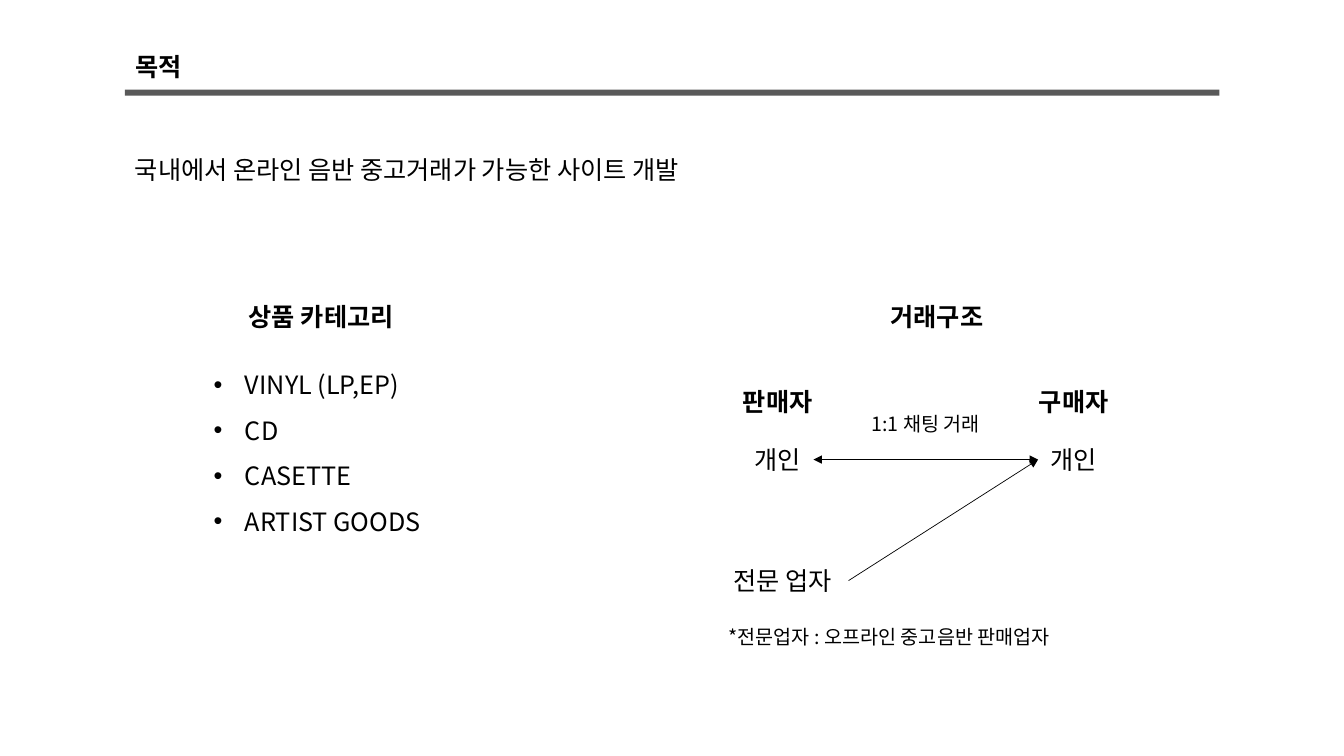
"""Build the purpose slide for a second-hand record trading site."""
from lxml.etree import SubElement
from pptx import Presentation
from pptx.dml.color import RGBColor
from pptx.enum.shapes import MSO_CONNECTOR as Conn, MSO_SHAPE as Form
from pptx.enum.text import MSO_ANCHOR as Anchor, MSO_AUTO_SIZE as Fit, PP_ALIGN as Align
from pptx.oxml.ns import qn
from pptx.util import Cm, Pt

FACE = "Noto Sans CJK KR"
INK, RULE = "000000", "595959"
EDGE = 3.15
SELL, BUY = 19.6, 27.06
MID = (SELL + BUY) / 2
TITLE = "목적"
GOODS = ["VINYL (LP,EP)", "CD", "CASETTE", "ARTIST GOODS"]
LEFT = [
    ("국내에서 온라인 음반 중고거래가 가능한 사이트 개발", EDGE, 3.76, 15.98, {}),
    ("상품 카테고리", 6.02, 7.47, 4.6, {"bold": True}),
    ("*전문업자 : 오프라인 중고음반 판매업자", 18.11, 15.62, 9.5, {"size": 14}),
]
TRADE = {
    "head": ("거래구조", 23.61, 7.47, 3.12, {"bold": True}),
    "sell": ("판매자", SELL, 9.6, 2.46, {"bold": True}),
    "buy": ("구매자", BUY, 9.6, 2.46, {"bold": True}),
    "from": ("개인", SELL, 11.07, 1.8, {}),
    "to": ("개인", BUY, 11.07, 1.8, {}),
    "shop": ("전문 업자", 19.72, 14.12, 3.33, {}),
    "chat": ("1:1 채팅 거래", MID, 10.26, 3.53, {"size": 14}),
}
LINKS = [("from", "to", True), ("shop", "to", False)]


def tint(code):
    return RGBColor.from_string(code)


def put(text, x, y, wide, high=1.02, shape=None, size=18, bold=False,
        align=Align.LEFT, space=1.0, dot=None):
    if shape is None:
        shape = slide.shapes.add_textbox(0, 0, 0, 0)
    shape.left, shape.top, shape.width, shape.height = map(Cm, (x, y, wide, high))
    frame = shape.text_frame
    frame.word_wrap, frame.auto_size = True, Fit.NONE
    frame.vertical_anchor = Anchor.TOP
    frame.text = text
    for para in frame.paragraphs:
        if dot:
            props = para._p.get_or_add_pPr()
            props.set("marL", str(Cm(0.79)))
            props.set("indent", str(-Cm(0.79)))
            SubElement(props, qn("a:buFont"), typeface="Arial")
            SubElement(props, qn("a:buChar"), char=dot)
        para.alignment, para.line_spacing = align, space
        para.space_before = Pt(0)
        for run in para.runs:
            font = run.font
            font.size, font.bold, font.name = Pt(size), bold, FACE
            font.color.rgb = tint(INK)
            SubElement(run._r.get_or_add_rPr(), qn("a:ea"), typeface=FACE)
    return shape


def link(start, end, both):
    line = slide.shapes.add_connector(Conn.STRAIGHT, 0, 0, 0, 0)
    line.begin_connect(start, 3)
    line.end_connect(end, 1)
    line.line.width = Pt(0.5)
    line.line.color.rgb = tint(INK)
    stroke = line.line._get_or_add_ln()
    for tip in ("headEnd", "tailEnd") if both else ("tailEnd",):
        SubElement(stroke, qn("a:" + tip), type="triangle")
    SubElement(line._element.spPr, qn("a:effectLst"))


deck = Presentation()
deck.slide_width, deck.slide_height = Cm(33.87), Cm(19.05)
slide = deck.slides.add_slide(deck.slide_layouts[1])

put(TITLE, EDGE, 1.17, 1.8, shape=slide.shapes.title, bold=True)
put("\n".join(GOODS), 5.13, 8.81, 6.2, 4.72,
    shape=slide.placeholders[1], space=1.5, dot="•")

bar = slide.shapes.add_shape(Form.RECTANGLE, Cm(EDGE), Cm(2.26), Cm(27.58), Cm(0.15))
bar.shadow.inherit = False
bar.fill.solid()
bar.fill.fore_color.rgb = tint(RULE)
bar.line.fill.background()

for text, x, y, wide, look in LEFT:
    put(text, x, y, wide, **look)

boxes = {}
for key, (text, mid, y, wide, look) in TRADE.items():
    boxes[key] = put(text, mid - wide / 2, y, wide, align=Align.CENTER, **look)

for start, end, both in LINKS:
    link(boxes[start], boxes[end], both)

deck.save("out.pptx")
